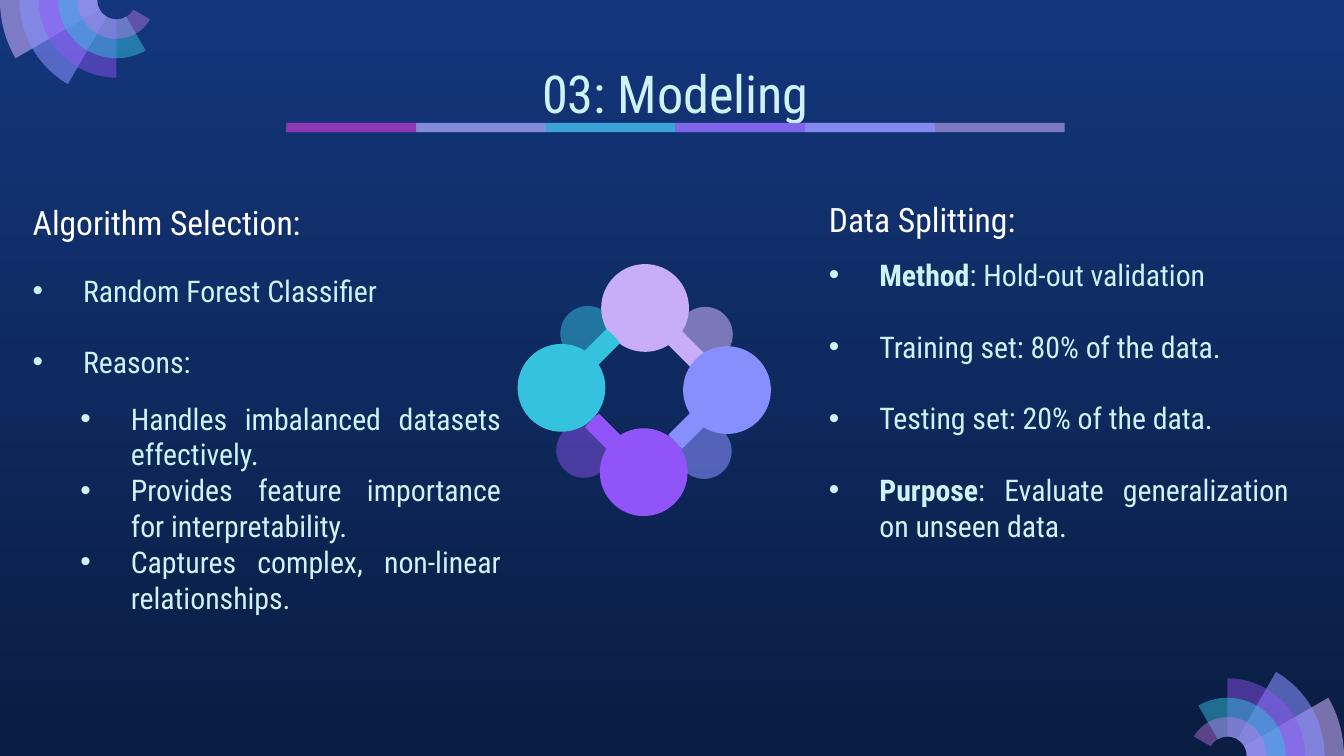
"""Build the modeling slide: algorithm selection, a ring of four circles, and data splitting."""
import math

from lxml import etree
from pptx import Presentation, util as u
from pptx.dml.color import RGBColor
from pptx.enum import shapes, text
from pptx.oxml.ns import qn

COLORS = {
    "top": "13367C", "bottom": "0A1D42", "ice": "CEF3F5", "white": "FFFFFF",
    "lilac": "C8AEF8", "periwinkle": "878FFF", "purple": "9154F8",
    "cyan": "35C2DF", "pink": "CA7BEB", "magenta": "972CB4",
}
FONT = "Roboto Condensed"


def paint(shape, color, alpha=100):
    shape.shadow.inherit = False
    shape.line.fill.background()
    shape.fill.solid()
    shape.fill.fore_color.rgb = RGBColor.from_string(COLORS[color])
    if alpha < 100:
        tint = shape.element.xpath(".//a:solidFill/a:srgbClr")[0]
        etree.SubElement(tint, qn("a:alpha"), val=str(alpha * 1000))


def draw_polar(center_x, center_y, polar, color, alpha=100):
    """Join polar points, with an arc wherever two neighbours share a radius."""
    polar = [(r, math.radians(a)) for r, a in polar]
    points = [(u.Pt(center_x + r * math.cos(a)), u.Pt(center_y + r * math.sin(a)))
              for r, a in polar]
    builder = slide.shapes.build_freeform(*points[0])
    builder.add_line_segments(points[1:], close=True)
    shape = builder.convert_to_shape()
    for i, side in enumerate(shape.element.xpath(".//a:lnTo")):
        (r, a), (next_r, b) = polar[i:i + 2]
        if r == next_r:
            pull = u.Pt(r) * 4 / 3 * math.tan((b - a) / 4)
            (x1, y1), (x2, y2) = points[i:i + 2]
            side.tag = qn("a:cubicBezTo")
            handles = [(x1 - pull * math.sin(a), y1 + pull * math.cos(a)),
                       (x2 + pull * math.sin(b), y2 - pull * math.cos(b))]
            for k, (x, y) in enumerate(handles):
                handle = etree.Element(qn("a:pt"), x=str(round(x - shape.left)),
                                       y=str(round(y - shape.top)))
                side.insert(k, handle)
    paint(shape, color, alpha)


prs = Presentation()
prs.slide_width, prs.slide_height = u.Pt(720), u.Pt(405)
slide = prs.slides.add_slide(prs.slide_layouts[5])

backdrop = slide.background.fill
backdrop.gradient()
backdrop.gradient_angle = 270
for stop, name in zip(backdrop.gradient_stops, ("top", "bottom")):
    stop.color.rgb = RGBColor.from_string(COLORS[name])

heading = slide.shapes.title
heading.left, heading.top, heading.width, heading.height = (
    u.Pt(v) for v in (153.4, 25.5, 416.9, 45.4))
frame = heading.text_frame
frame.text = "03: Modeling"
frame.auto_size = text.MSO_AUTO_SIZE.NONE
frame.vertical_anchor = text.MSO_ANCHOR.TOP
frame.margin_left = frame.margin_right = frame.margin_top = frame.margin_bottom = u.Pt(7.2)
frame.paragraphs[0].alignment = text.PP_ALIGN.CENTER
font = frame.paragraphs[0].runs[0].font
font.size, font.name = u.Pt(28), FONT
font.color.rgb = RGBColor.from_string(COLORS["ice"])

satellites = [(315, 178.7, "cyan", 49), (377.8, 179.2, "lilac", 59),
              (377.2, 241.8, "periwinkle", 58), (312.8, 241.2, "purple", 46)]
for x, y, color, alpha in satellites:
    dot = slide.shapes.add_shape(shapes.MSO_SHAPE.OVAL, u.Pt(x - 14.8), u.Pt(y - 14.8),
                                 u.Pt(29.6), u.Pt(29.6))
    paint(dot, color, alpha)

radius, reach, arm_half = 23.5, 39.2, 5.25
neck = math.degrees(math.asin(arm_half / radius))
tip = math.degrees(math.atan(arm_half / reach))
tip_radius = math.hypot(reach, arm_half)
hubs = [(345.6, 165, "lilac"), (389.5, 209, "periwinkle"),
        (344.9, 253, "purple"), (300.8, 207.8, "cyan")]
for i, (x, y, color) in enumerate(hubs):
    aim = 45 + 90 * i
    rim = [aim + turn for turn in (neck, 45, 135, 225, 315, 360 - neck)]
    draw_polar(x, y, [(radius, a) for a in rim]
               + [(tip_radius, aim - tip), (tip_radius, aim + tip)], color)

ring = 10.4
fan_blades = [("lilac", 58), ("periwinkle", 58), ("purple", 46), ("cyan", 49), ("pink", 42)]
for x, y, base in ((657.6, 405, 0), (62.4, 0, 180)):
    for i, (color, alpha) in enumerate(fan_blades):
        sweep = 30 * (i + 1)
        angles = [base - a for a in ((0, sweep) if sweep <= 90 else (0, 90, sweep))]
        outer = [(ring * (6 - i), a) for a in angles]
        inner = [(ring, a) for a in reversed(angles)]
        draw_polar(x, y, outer + inner, color, alpha)

step = 69.5
divider = [(4, 2, "lilac", 59), (3, 2, "periwinkle", 74), (2, 2, "purple", 53),
           (1, 2, "cyan", 76), (0, 2, "pink", 56), (0, 1, "magenta", 74)]
for start, span, color, alpha in divider:
    band = slide.shapes.add_shape(shapes.MSO_SHAPE.RECTANGLE, u.Pt(153.4 + start * step),
                                  u.Pt(65.8), u.Pt(span * step), u.Pt(5))
    paint(band, color, alpha)

LEFT, JUSTIFY = text.PP_ALIGN.LEFT, text.PP_ALIGN.JUSTIFY
bullet_lists = [
    ((36, 201.4, 239.5, 135.4), JUSTIFY, 0,
     ["Handles imbalanced datasets effectively.",
      "Provides feature importance for interpretability.",
      "Captures complex, non-linear relationships."]),
    ((437, 126.9, 260.6, 171.4), JUSTIFY, 19.2,
     ["Method|: Hold-out validation",
      "Training set: 80% of the data.",
      "Testing set: 20% of the data.",
      "Purpose|: Evaluate generalization on unseen data."]),
    ((10.4, 141.5, 280.1, 69.1), LEFT, 19.2, ["Random Forest Classifier", "Reasons:"]),
]
for box, alignment, gap, items in bullet_lists:
    frame = slide.shapes.add_textbox(*(u.Pt(v) for v in box)).text_frame
    frame.word_wrap = True
    frame.vertical_anchor = text.MSO_ANCHOR.BOTTOM
    frame.margin_left = frame.margin_right = frame.margin_top = frame.margin_bottom = u.Pt(7.2)
    for i, item in enumerate(items):
        point = frame.add_paragraph() if i else frame.paragraphs[0]
        point.alignment = alignment
        point.space_before = u.Pt(gap if i else 0)
        parts = item.split("|")
        for part in parts:
            run = point.add_run()
            run.text = part
            run.font.size, run.font.name = u.Pt(16), FONT
            run.font.bold = len(parts) > 1 and part == parts[0]
            run.font.color.rgb = RGBColor.from_string(COLORS["ice"])
        props = point._p.get_or_add_pPr()
        props.set("marL", str(u.Pt(27)))
        props.set("indent", str(u.Pt(-27)))
        bullet_color = etree.SubElement(props, qn("a:buClr"))
        etree.SubElement(bullet_color, qn("a:srgbClr"), val=COLORS["ice"])
        etree.SubElement(props, qn("a:buFont"), typeface="Arial")
        etree.SubElement(props, qn("a:buChar"), char="•")

for x, y, width, label in ((10.4, 104.4, 164.2, "Algorithm Selection:"),
                           (437, 103, 178.6, "Data Splitting:")):
    subtitle = slide.shapes.add_textbox(u.Pt(x), u.Pt(y), u.Pt(width), u.Pt(28.8))
    subtitle.text_frame.word_wrap = True
    subtitle.text_frame.text = label
    font = subtitle.text_frame.paragraphs[0].runs[0].font
    font.size, font.name = u.Pt(18), FONT
    font.color.rgb = RGBColor.from_string(COLORS["white"])

prs.save("out.pptx")
